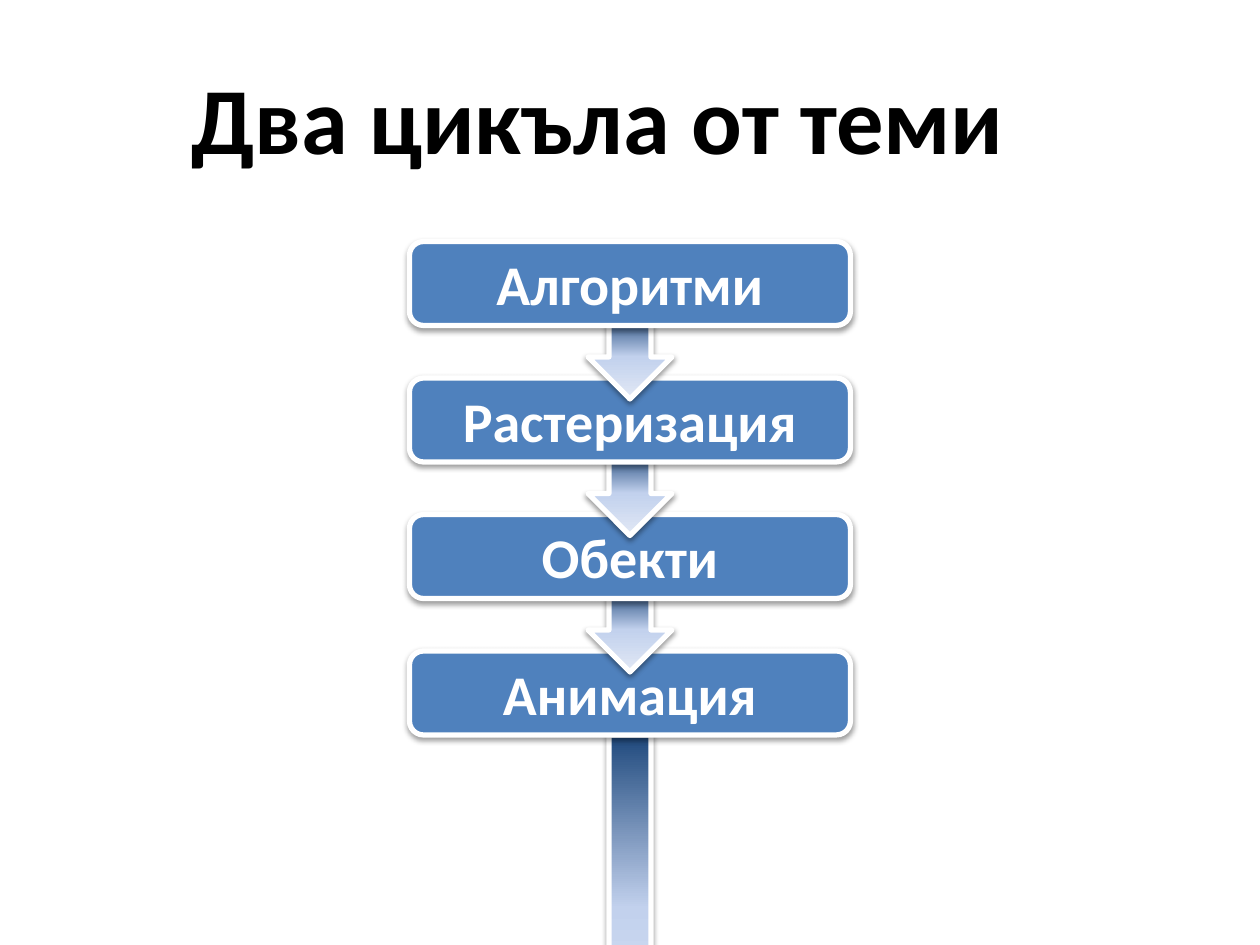
from lxml.etree import SubElement
from pptx import Presentation
from pptx.dml.color import RGBColor
from pptx.enum.shapes import MSO_SHAPE as Shape
from pptx.enum.text import MSO_ANCHOR as Anchor, PP_ALIGN as Align
from pptx.oxml.ns import qn
from pptx.util import Pt

COLORS = {
    "text": "000000",
    "light": "FFFFFF",
    "box": "4F81BD",
    "shadow": "000000",
    "arrow_start": "1F497D",
    "arrow_middle": "C2D1ED",
    "arrow_end": "E1E8F5",
}
TOPICS = ["Алгоритми", "Растеризация", "Обекти", "Анимация"]
SLIDE_WIDTH, SLIDE_HEIGHT = 720, 540
BOX_WIDTH, BOX_HEIGHT = 252, 48
FIRST_TOP, PITCH = 138, 78
ARROW_WIDTH, ARROW_HEIGHT, OVERLAP = 48, 48, 6
LONG_ARROW_HEIGHT = 198


def rgb(name):
    """Return the named colour."""
    return RGBColor.from_string(COLORS[name])


def write_text(shape, text, size, color, align):
    """Put one bold, vertically centred paragraph in a shape."""
    frame = shape.text_frame
    frame.text = text
    frame.word_wrap = True
    frame.vertical_anchor = Anchor.MIDDLE
    paragraph = frame.paragraphs[0]
    paragraph.alignment = align
    font = paragraph.runs[0].font
    font.name, font.size, font.bold = "Calibri", Pt(size), True
    font.color.rgb = rgb(color)


def add_xml_color(parent, name):
    """Append a colour element and return it."""
    return SubElement(parent, qn("a:srgbClr"), val=COLORS[name])


def add_raised_shape(slide, kind, top, width, height):
    """Add a horizontally centred shape with a white outline and a soft shadow."""
    left = (SLIDE_WIDTH - width) / 2
    shape = slide.shapes.add_shape(kind, Pt(left), Pt(top), Pt(width), Pt(height))
    shape.line.color.rgb = rgb("light")
    shape.line.width = Pt(3)
    shape.shadow.inherit = False
    effects = shape.element.spPr.find(qn("a:effectLst"))
    shadow = SubElement(effects, qn("a:outerShdw"), blurRad=str(Pt(3.1)),
                        dist=str(Pt(1.6)), dir="5400000", rotWithShape="0")
    SubElement(add_xml_color(shadow, "shadow"), qn("a:alpha"), val="38000")
    return shape


def add_arrow(slide, top, height):
    """Add a down arrow that fades from dark to light."""
    arrow = add_raised_shape(slide, Shape.DOWN_ARROW, top, ARROW_WIDTH, height)
    arrow.fill.gradient()
    arrow.fill.gradient_angle = 270
    stops = arrow.element.spPr.find(qn("a:gradFill")).find(qn("a:gsLst"))
    for stop in list(stops):
        stops.remove(stop)
    for percent, name in ((0, "arrow_start"), (50, "arrow_middle"), (100, "arrow_end")):
        add_xml_color(SubElement(stops, qn("a:gs"), pos=str(percent * 1000)), name)


def add_topic(slide, text, top):
    """Add a rounded topic box."""
    box = add_raised_shape(slide, Shape.ROUNDED_RECTANGLE, top, BOX_WIDTH, BOX_HEIGHT)
    box.fill.solid()
    box.fill.fore_color.rgb = rgb("box")
    write_text(box, text, size=32, color="light", align=Align.CENTER)


def add_title(slide, text):
    """Place and format the title placeholder."""
    title = slide.shapes.title
    title.left, title.top, title.width, title.height = Pt(102), Pt(21.6), Pt(618), Pt(90)
    write_text(title, text, size=54, color="text", align=Align.LEFT)


def main():
    """Build the slide, stacking the topics from the bottom up."""
    presentation = Presentation()
    presentation.slide_width, presentation.slide_height = Pt(SLIDE_WIDTH), Pt(SLIDE_HEIGHT)
    slide = presentation.slides.add_slide(presentation.slide_layouts[5])
    add_title(slide, "Два цикъла от теми")
    last_top = FIRST_TOP + PITCH * (len(TOPICS) - 1)
    add_arrow(slide, last_top + BOX_HEIGHT, LONG_ARROW_HEIGHT)
    for index, topic in reversed(list(enumerate(TOPICS))):
        top = FIRST_TOP + PITCH * index
        add_topic(slide, topic, top)
        if index:
            add_arrow(slide, top - PITCH + BOX_HEIGHT - OVERLAP, ARROW_HEIGHT)
    presentation.save("out.pptx")


if __name__ == "__main__":
    main()
